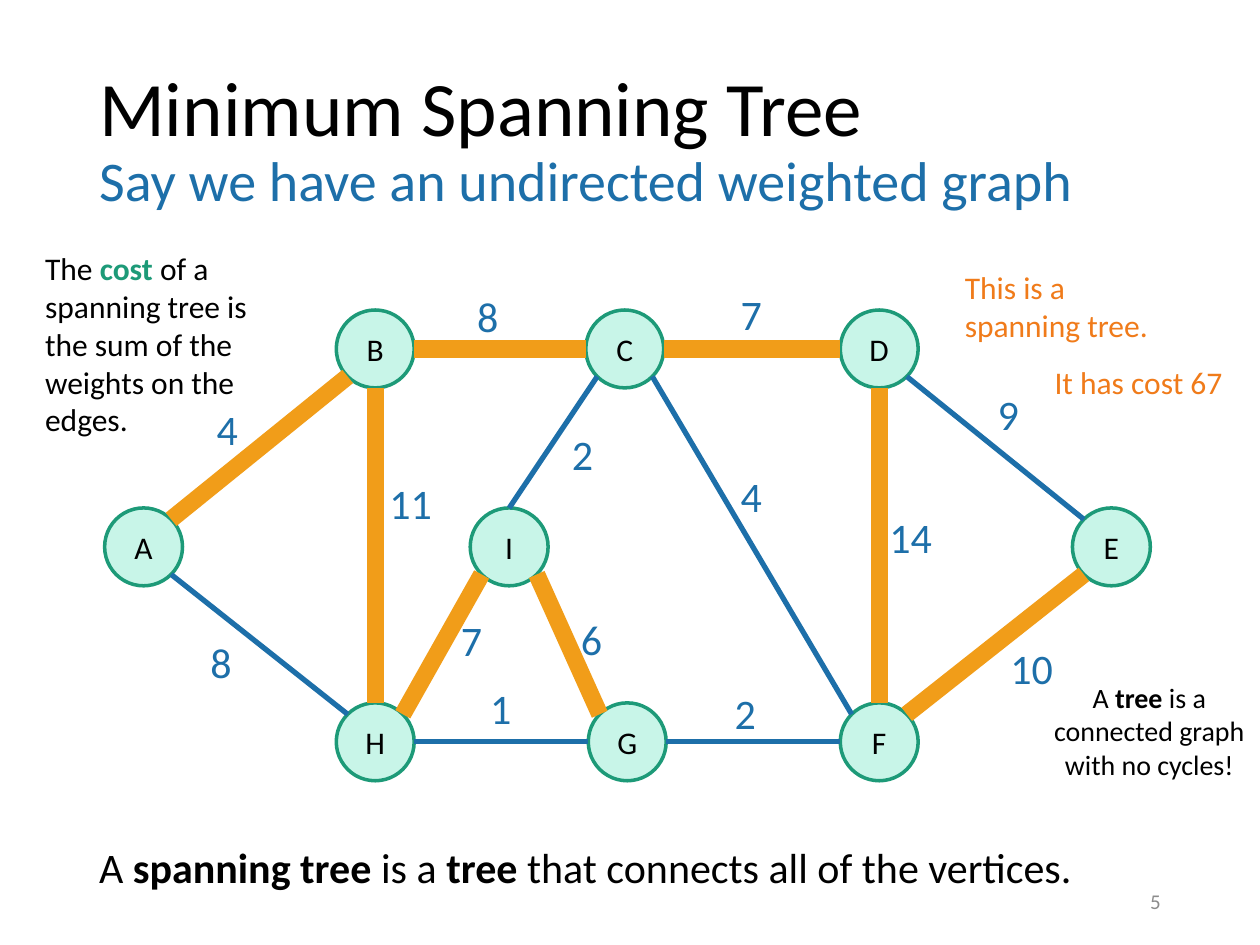
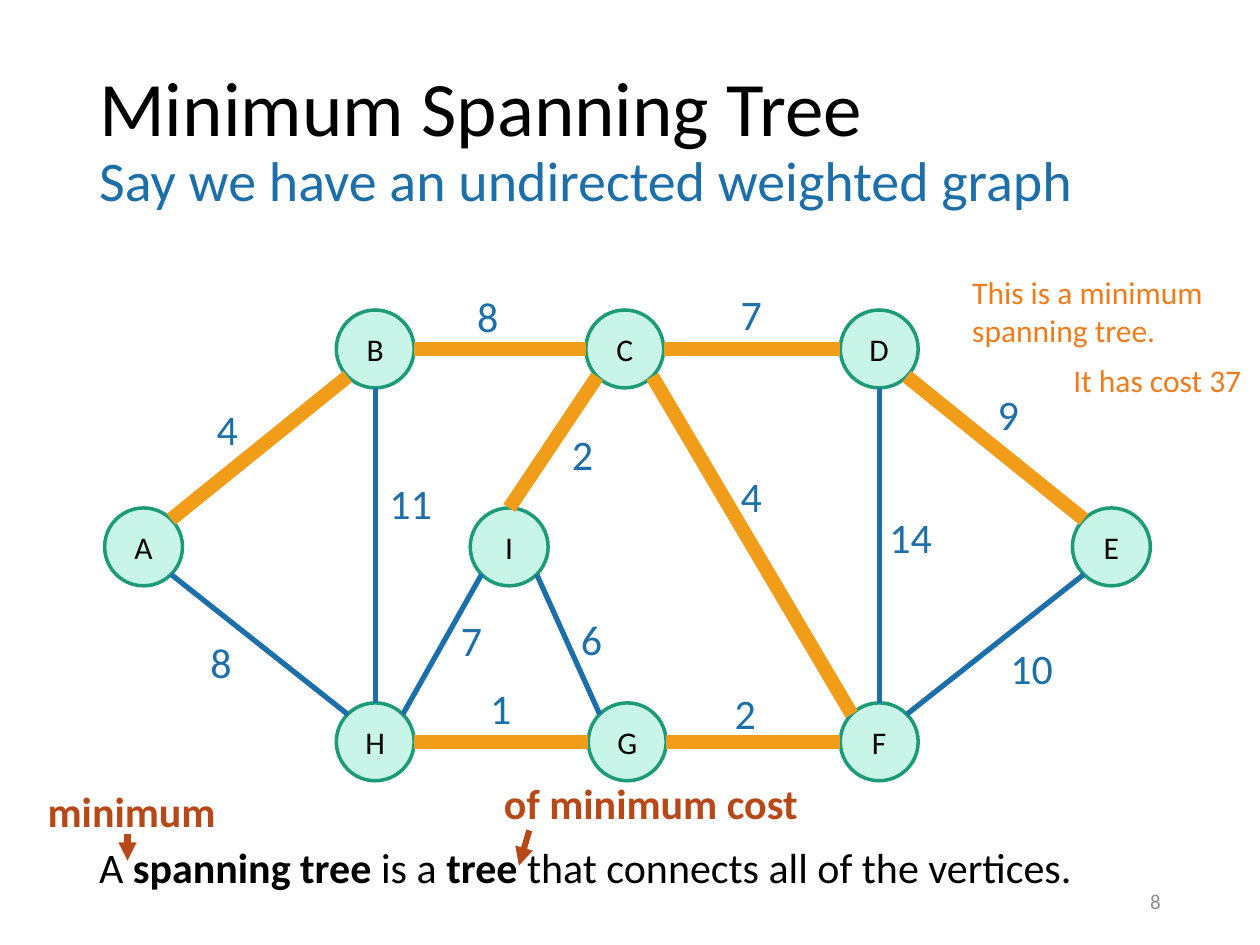
from dataclasses import dataclass
from enum import IntEnum
from math import cos, pi, sin

from lxml.etree import SubElement
from pptx import Presentation
from pptx.dml.color import RGBColor as RGB
from pptx.enum.shapes import MSO_CONNECTOR as LINE, MSO_SHAPE as SHAPE
from pptx.enum.text import MSO_ANCHOR as ANCHOR, PP_ALIGN as ALIGN
from pptx.oxml.ns import qn
from pptx.util import Cm, Pt


@dataclass(frozen=True)
class Theme:
    font: str = "Calibri"
    text: str = "000000"
    edge: str = "1D6FA9"
    tree: str = "F19D19"
    remark: str = "F07B1A"
    emphasis: str = "B74919"
    node_fill: str = "C8F5E8"
    node_line: str = "1D9A78"
    number: str = "8C8C8C"
    title_size: int = 44
    subtitle_size: int = 32
    large: int = 24
    body: int = 18
    small: int = 16
    tiny: int = 12


THEME = Theme()


class Site(IntEnum):
    """Connection sites of an ellipse, counted anticlockwise from the top."""
    TOP = 0
    TOP_LEFT = 1
    LEFT = 2
    BOTTOM_LEFT = 3
    BOTTOM = 4
    BOTTOM_RIGHT = 5
    RIGHT = 6
    TOP_RIGHT = 7


NODE_SIZE = 1.57
TOP_ROW, MIDDLE_ROW, BOTTOM_ROW = 0, 3.99, 7.92
NODES = {
    "A": (0, MIDDLE_ROW), "B": (4.67, TOP_ROW), "C": (9.7, TOP_ROW),
    "D": (14.83, TOP_ROW), "E": (19.51, MIDDLE_ROW), "F": (14.83, BOTTOM_ROW),
    "G": (9.75, BOTTOM_ROW), "H": (4.67, BOTTOM_ROW), "I": (7.37, MIDDLE_ROW),
}

# edge: (site on first node, site on second node, weight, weight position)
EDGES = {
    "AB": (Site.TOP_RIGHT, Site.BOTTOM_LEFT, 4, (2.01, 1.75)),
    "AH": (Site.BOTTOM_RIGHT, Site.TOP_LEFT, 8, (1.88, 6.45)),
    "BC": (Site.RIGHT, Site.LEFT, 8, (7.26, -0.51)),
    "BH": (Site.BOTTOM, Site.TOP, 11, (5.49, 3.25)),
    "CD": (Site.RIGHT, Site.LEFT, 7, (12.57, -0.56)),
    "CF": (Site.BOTTOM_RIGHT, Site.TOP_LEFT, 4, (12.57, 3.12)),
    "CI": (Site.BOTTOM_LEFT, Site.TOP, 2, (9.17, 2.26)),
    "DE": (Site.BOTTOM_RIGHT, Site.TOP_LEFT, 9, (17.75, 1.45)),
    "DF": (Site.BOTTOM, Site.TOP, 14, (15.57, 3.94)),
    "EF": (Site.BOTTOM_LEFT, Site.TOP_RIGHT, 10, (18.01, 6.58)),
    "GF": (Site.RIGHT, Site.LEFT, 2, (12.45, 7.49)),
    "HG": (Site.RIGHT, Site.LEFT, 1, (7.52, 7.39)),
    "IG": (Site.BOTTOM_RIGHT, Site.TOP_LEFT, 6, (9.35, 5.99)),
    "IH": (Site.BOTTOM_LEFT, Site.TOP_RIGHT, 7, (6.93, 6.02)),
}

TITLE_BOX = (1.75, 1.02, 21.89, 3.68)
GRAPH_ORIGIN = (2.11, 6.25)
DEFINITION_BOX = (1.75, 16.84, 22.43, 1.27)
NUMBER_BOX = (17.93, 17.65, 5.72, 1.02)


def add_run(p, text, size, color=THEME.text, bold=False):
    r = p.add_run()
    r.text = text
    r.font.name, r.font.size, r.font.bold = THEME.font, Pt(size), bold
    r.font.color.rgb = RGB.from_string(color)


def add_text(slide, box, size, runs, align=ALIGN.LEFT, anchor=ANCHOR.TOP):
    """Add a one-paragraph text box; each run is (text, color, bold)."""
    tf = slide.shapes.add_textbox(*map(Cm, box)).text_frame
    tf.word_wrap, tf.vertical_anchor = True, anchor
    p = tf.paragraphs[0]
    p.alignment = align
    for text, color, bold in runs:
        add_run(p, text, size, color, bold)
    return p


def add_line(slide, start, end, color, width):
    line = slide.shapes.add_connector(LINE.STRAIGHT, *map(Cm, (*start, *end)))
    line.line.color.rgb = RGB.from_string(color)
    line.line.width = Pt(width)
    SubElement(line._element.spPr, qn("a:effectLst"))
    return line


def add_arrow(slide, start, end):
    arrow = add_line(slide, start, end, THEME.emphasis, 3.5)
    SubElement(arrow.line._get_or_add_ln(), qn("a:tailEnd"), type="triangle")


def add_node(slide, name, left, top):
    sp = slide.shapes.add_shape(SHAPE.OVAL, *map(Cm, (left, top, NODE_SIZE, NODE_SIZE)))
    sp.shadow.inherit = False
    sp.fill.solid()
    sp.fill.fore_color.rgb = RGB.from_string(THEME.node_fill)
    sp.line.color.rgb = RGB.from_string(THEME.node_line)
    sp.line.width = Pt(2)
    tf = sp.text_frame
    tf.vertical_anchor = ANCHOR.MIDDLE
    tf.paragraphs[0].alignment = ALIGN.CENTER
    add_run(tf.paragraphs[0], name, THEME.body)
    return sp


def site_point(left, top, site):
    radius, angle = NODE_SIZE / 2, site * pi / 4
    return left + radius * (1 - sin(angle)), top + radius * (1 - cos(angle))


def glue(line, tag, sp, site):
    """Join a line's end to any of an ellipse's eight sites."""
    SubElement(line._element.nvCxnSpPr.cNvCxnSpPr, qn(tag),
               id=str(sp.shape_id), idx=str(int(site)))


def add_graph(slide, origin, tree, tree_width):
    """Draw the weighted graph with the edges named in tree highlighted."""
    x, y = origin
    places = {name: (x + dx, y + dy) for name, (dx, dy) in NODES.items()}
    shapes = {name: add_node(slide, name, *place) for name, place in places.items()}
    for edge, (site_a, site_b, _, _) in EDGES.items():
        a, b = edge
        style = (THEME.tree, tree_width) if edge in tree else (THEME.edge, 3)
        line = add_line(slide, site_point(*places[a], site_a),
                        site_point(*places[b], site_b), *style)
        glue(line, "a:stCxn", shapes[a], site_a)
        glue(line, "a:endCxn", shapes[b], site_b)
    for _, _, weight, (dx, dy) in EDGES.values():
        add_text(slide, (x + dx, y + dy, 2.18, 1.27), THEME.large,
                 [(str(weight), THEME.edge, False)])


def add_title(slide, box):
    p = add_text(slide, box, THEME.title_size,
                 [("Minimum Spanning Tree", THEME.text, False)], anchor=ANCHOR.MIDDLE)
    p.line_spacing = 0.9
    p.add_line_break()
    add_run(p, "Say we have an undirected weighted graph", THEME.subtitle_size, THEME.edge)


def add_definition(slide, box):
    add_text(slide, box, THEME.large, [
        ("A ", THEME.text, False), ("spanning tree ", THEME.text, True),
        ("is a ", THEME.text, False), ("tree", THEME.text, True),
        (" that connects all of the vertices.", THEME.text, False)])


def add_remark(slide, box, text):
    add_text(slide, box, THEME.body, [(text, THEME.remark, False)])


def add_graph_slide(prs, number, tree, tree_width):
    slide = prs.slides.add_slide(prs.slide_layouts[6])
    add_title(slide, TITLE_BOX)
    add_graph(slide, GRAPH_ORIGIN, tree, tree_width)
    add_definition(slide, DEFINITION_BOX)
    add_text(slide, NUMBER_BOX, THEME.tiny, [(str(number), THEME.number, False)],
             ALIGN.RIGHT, ANCHOR.MIDDLE)
    return slide


def add_spanning_tree_slide(prs):
    slide = add_graph_slide(prs, 5, {"AB", "BC", "BH", "CD", "DF", "EF", "IG", "IH"}, 9.75)
    add_text(slide, (20.68, 13.59, 4.98, 2.31), THEME.small, [
        ("A ", THEME.text, False), ("tree ", THEME.text, True),
        ("is a connected graph with no cycles!", THEME.text, False)], ALIGN.CENTER)
    add_text(slide, (0.66, 4.9, 5.36, 4.11), THEME.body, [
        ("The ", THEME.text, False), ("cost ", THEME.node_line, True),
        ("of a spanning tree is the sum of the weights on the edges.", THEME.text, False)])
    add_remark(slide, (19.2, 5.28, 4.98, 1.8), "This is a spanning tree.")
    add_remark(slide, (21.01, 7.19, 4.24, 1.02), "It has cost 67")


def add_minimum_tree_slide(prs):
    slide = add_graph_slide(prs, 8, {"AB", "BC", "CD", "CF", "CI", "DE", "GF", "HG"}, 8)
    add_remark(slide, (19.35, 5.38, 5.61, 1.8), "This is a minimum spanning tree.")
    add_remark(slide, (21.39, 7.16, 4.24, 1.02), "It has cost 37")
    for text, box, start, end in (
        ("minimum", (0.71, 15.72, 6.1, 1.27), (2.57, 16.81), (2.57, 17.35)),
        ("of minimum cost", (9.91, 15.54, 7.49, 1.27), (10.67, 16.74), (10.46, 17.45)),
    ):
        add_text(slide, box, THEME.large, [(text, THEME.emphasis, True)])
        add_arrow(slide, start, end)


def main():
    prs = Presentation()
    prs.slide_width, prs.slide_height = Cm(25.4), Cm(19.05)
    add_spanning_tree_slide(prs)
    add_minimum_tree_slide(prs)
    prs.save("out.pptx")


if __name__ == "__main__":
    main()
